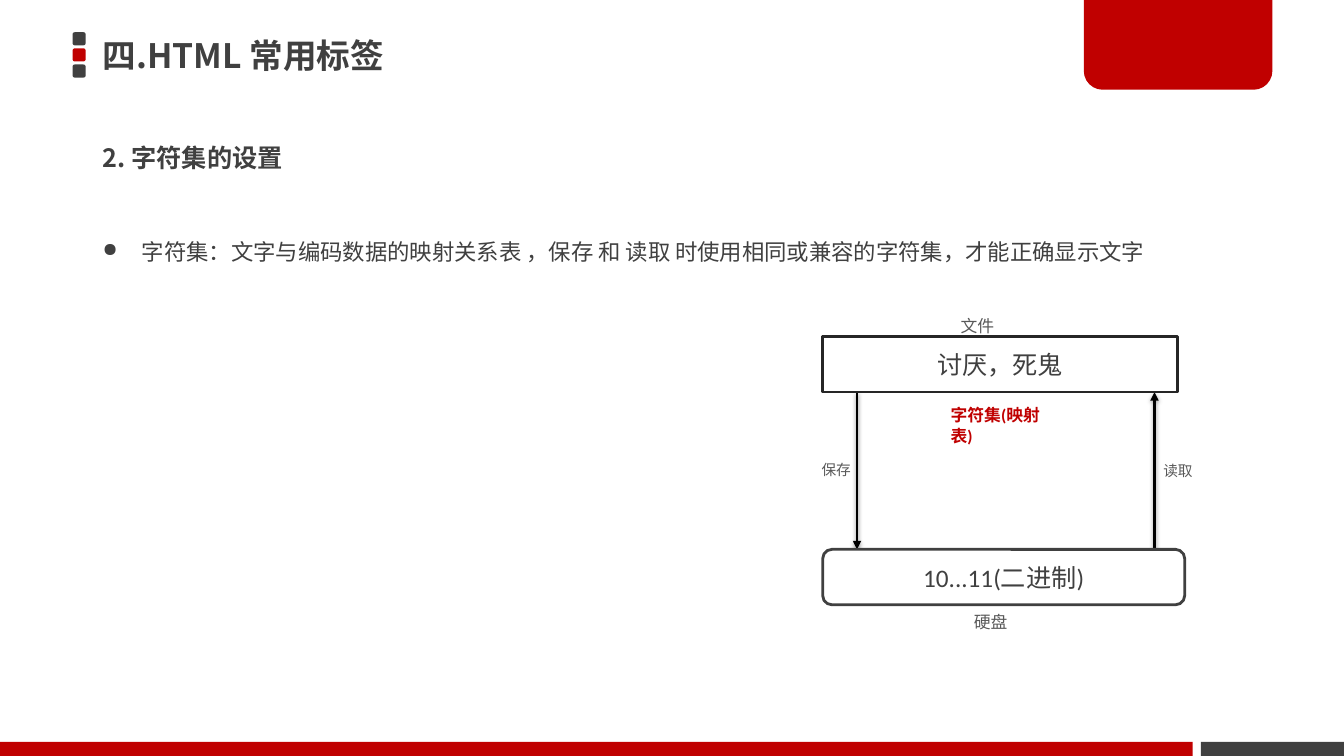
from lxml import etree
from pptx import Presentation
from pptx.dml.color import RGBColor
from pptx.enum.shapes import MSO_CONNECTOR, MSO_SHAPE
from pptx.enum.text import MSO_ANCHOR, MSO_AUTO_SIZE, PP_ALIGN
from pptx.oxml import parse_xml
from pptx.oxml.ns import nsdecls, qn
from pptx.util import Inches, Pt

RECT = MSO_SHAPE.RECTANGLE
ROUNDED = MSO_SHAPE.ROUNDED_RECTANGLE
TAB = MSO_SHAPE.ROUND_2_SAME_RECTANGLE
STRAIGHT = MSO_CONNECTOR.STRAIGHT
TOP, MIDDLE = MSO_ANCHOR.TOP, MSO_ANCHOR.MIDDLE
LEFT, CENTER = PP_ALIGN.LEFT, PP_ALIGN.CENTER
NO_FIT, GROW = MSO_AUTO_SIZE.NONE, MSO_AUTO_SIZE.SHAPE_TO_FIT_TEXT

COLORS = {"red": "C00000", "dark": "404040", "ink": "262626",
          "label": "595959", "white": "FFFFFF", "black": "000000"}
HEADING_FONT, BODY_FONT, DIAGRAM_FONT = "Noto Sans CJK JP", "Arial", "Calibri"


def color(name):
    """Return the palette colour called name."""
    return RGBColor.from_string(COLORS[name])


def write(box, text, size, font, ink="dark", bold=False, align=LEFT, anchor=TOP):
    """Put one styled paragraph into a shape and return the paragraph."""
    frame = box.text_frame
    frame.word_wrap = True
    frame.auto_size = NO_FIT
    frame.vertical_anchor = anchor
    para = frame.paragraphs[0]
    para.text = text
    para.alignment = align
    para.font.size = Pt(size)
    para.font.name = font
    para.font.bold = bold
    para.font.color.rgb = color(ink)
    return para


def add_block(page, kind, left, top, width, height, fill, line=None):
    """Add a flat preset shape, outlined when a line colour is given."""
    block = page.shapes.add_shape(kind, Inches(left), Inches(top),
                                  Inches(width), Inches(height))
    block.shadow.inherit = False
    block.fill.solid()
    block.fill.fore_color.rgb = color(fill)
    if line:
        block.line.color.rgb = color(line)
        block.line.width = Pt(2)
    else:
        block.line.fill.background()
    return block


def add_text(page, left, top, width, height):
    """Add an empty text box."""
    return page.shapes.add_textbox(Inches(left), Inches(top),
                                   Inches(width), Inches(height))


def add_label(page, text, left, top, width, height, size):
    """Add a small unwrapped diagram label."""
    box = add_text(page, left, top, width, height)
    write(box, text, size, DIAGRAM_FONT, "label")
    box.text_frame.word_wrap = False
    box.text_frame.auto_size = GROW


def add_arrow(page, x, start, end):
    """Add a vertical arrow with a soft shadow."""
    arrow = page.shapes.add_connector(STRAIGHT, Inches(x), Inches(start),
                                      Inches(x), Inches(end))
    arrow.line.color.rgb = color("black")
    arrow.line.width = Pt(2)
    properties = arrow._element.spPr
    etree.SubElement(properties.find(qn("a:ln")), qn("a:tailEnd"), type="triangle")
    properties.append(parse_xml(
        f'<a:effectLst {nsdecls("a")}>'
        '<a:outerShdw blurRad="39370" dist="20320" dir="5400000" rotWithShape="0">'
        f'<a:srgbClr val="{COLORS["black"]}"><a:alpha val="38000"/></a:srgbClr>'
        '</a:outerShdw></a:effectLst>'))


def add_frame(page, width, height):
    """Draw the heading marks, the corner tab and the footer bars."""
    for row, fill in enumerate(("dark", "red", "dark")):
        add_block(page, ROUNDED, 0.72, 0.32 + 0.16 * row, 0.13, 0.13, fill)
    tab = add_block(page, TAB, width - 2.58, 0, 1.87, 0.89, "red")
    tab.adjustments[0] = 0
    tab.adjustments[1] = 0.21
    bar = 0.14
    add_block(page, RECT, 0, height - bar, width - 1.5, bar, "red")
    add_block(page, RECT, width - 1.42, height - bar, 1.42, bar, "dark")


def add_headings(page, left, top):
    """Place the title, the section heading and the bullet."""
    title = page.shapes.title
    title.left, title.top = Inches(left), Inches(top)
    title.width, title.height = Inches(4.81), Inches(0.57)
    write(title, "四.HTML 常用标签", 24, HEADING_FONT, bold=True, anchor=MIDDLE)

    section = add_text(page, left, top + 1.02, 10.77, 0.57)
    write(section, "2. 字符集的设置", 18, HEADING_FONT, bold=True, anchor=MIDDLE)

    box = add_text(page, left, top + 1.92, 10.77, 0.55)
    properties = box.text_frame.paragraphs[0]._p.get_or_add_pPr()
    properties.set("marL", str(Inches(0.39)))
    properties.set("indent", str(-Inches(0.39)))
    bullet_color = etree.SubElement(properties, qn("a:buClr"))
    etree.SubElement(bullet_color, qn("a:srgbClr"), val=COLORS["dark"])
    etree.SubElement(properties, qn("a:buSzPct"), val="85000")
    etree.SubElement(properties, qn("a:buChar"), char="●")
    para = write(box, "字符集：文字与编码数据的映射关系表 ，保存 和 读取 "
                 "时使用相同或兼容的字符集，才能正确显示文字", 16, BODY_FONT)
    para.line_spacing = 1.5


def add_diagram(page, left, top):
    """Draw the file and disk boxes with the save and read arrows between."""
    box_height = 0.55
    file_bottom, disk_top = top + box_height, top + 2.11
    add_arrow(page, left + 0.34, file_bottom, disk_top)
    add_arrow(page, left + 3.29, disk_top, file_bottom)
    add_label(page, "保存", left - 0.11, top + 1.18, 0.5, 0.28, 10.5)
    add_label(page, "读取", left + 3.28, top + 1.19, 0.5, 0.28, 10.5)

    file_box = add_block(page, RECT, left, top, 3.52, box_height, "white", "ink")
    disk_box = add_block(page, ROUNDED, left, disk_top, 3.59, box_height,
                         "white", "dark")
    for box, text in ((file_box, "讨厌，死鬼"), (disk_box, "10...11(二进制)")):
        write(box, text, 18, DIAGRAM_FONT, align=CENTER, anchor=MIDDLE)
    add_label(page, "文件", left + 1.27, top - 0.26, 0.98, 0.3, 12)
    add_label(page, "硬盘", left + 1.4, top + 2.68, 1, 0.3, 12)

    mapping = add_text(page, left + 1.17, top + 0.63, 1.29, 0.3)
    write(mapping, "字符集(映射表)", 12, DIAGRAM_FONT, "red", bold=True)


def main():
    """Build the slide and save the deck."""
    width, height = 13.33, 7.5
    deck = Presentation()
    deck.slide_width, deck.slide_height = Inches(width), Inches(height)
    page = deck.slides.add_slide(deck.slide_layouts.get_by_name("Title Only"))
    add_frame(page, width, height)
    add_headings(page, 0.92, 0.26)
    add_diagram(page, 8.16, 3.34)
    deck.save("out.pptx")


if __name__ == "__main__":
    main()
